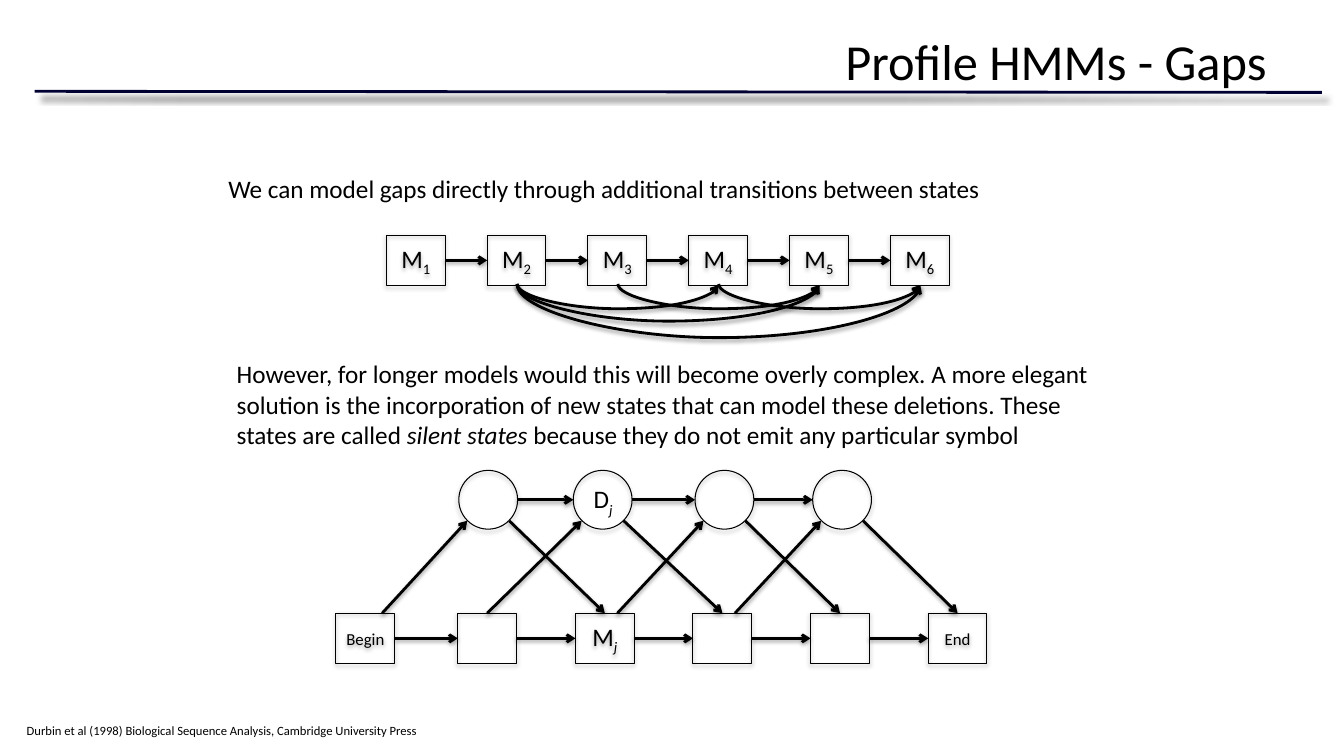
"""Build the slide on modelling gaps in profile HMMs."""
from itertools import pairwise

from lxml.etree import SubElement
from pptx import Presentation
from pptx.dml.color import RGBColor
from pptx.enum.shapes import MSO_CONNECTOR as LINK, MSO_SHAPE as SHAPE
from pptx.enum.text import MSO_ANCHOR as ANCHOR, PP_ALIGN as ALIGN
from pptx.oxml.ns import qn
from pptx.util import Emu, Pt

BLACK = "000000"
NAVY = "000033"
BOX_WIDTH, BOX_HEIGHT, CIRCLE = 56, 48, 56
SHAPE_SHADOW = (35, 3.1, 1.8, 90)
ARROW_SHADOW = (38, 3.1, 1.6, 90)
TITLE_SHADOW = (50, 4, 6, 45)
SUBSCRIPT = {"baseline": "-25000"}
ITALIC = {"i": "1"}


def px(*lengths):
    """Turn pixel lengths, 96 to the inch, into EMU."""
    return [Emu(length * 9525) for length in lengths]


def color(hex_code):
    """Turn a hex string into a colour."""
    return RGBColor.from_string(hex_code)


def set_values(target, values):
    """Set every attribute named in a dict of format values."""
    for name, value in values.items():
        setattr(target, name, value)


def add_shadow(shape, opacity, blur, distance, angle):
    """Give a shape or connector a soft black outer shadow."""
    effects = SubElement(shape._element.spPr, qn("a:effectLst"))
    outer = SubElement(effects, qn("a:outerShdw"), blurRad=str(Pt(blur)),
                       dist=str(Pt(distance)), dir=str(angle * 60000),
                       algn="ctr", rotWithShape="0")
    black = SubElement(outer, qn("a:srgbClr"), val=BLACK)
    SubElement(black, qn("a:alpha"), val=str(opacity * 1000))


def write_text(shape, runs, size, align=ALIGN.LEFT, **frame_values):
    """Write one paragraph of (text, run attributes) pairs."""
    frame = shape.text_frame
    set_values(frame, frame_values)
    paragraph = frame.paragraphs[0]
    paragraph.alignment = align
    for text, attributes in runs:
        run = paragraph.add_run()
        run.text = text
        set_values(run.font, {"name": "Calibri", "size": Pt(size)})
        run.font.color.rgb = color(BLACK)
        for name, value in attributes.items():
            run.font._element.set(name, value)


def add_text(slide, place, runs, size, align=ALIGN.LEFT, wrap=True):
    """Add a text box."""
    write_text(slide.shapes.add_textbox(*px(*place)), runs, size, align, word_wrap=wrap)


def add_state(slide, kind, left, top, height, runs=(), size=18):
    """Add an outlined state, labelled when it has runs."""
    shape = slide.shapes.add_shape(kind, *px(left, top, BOX_WIDTH, height))
    shape.fill.background()
    shape.line.color.rgb = color(BLACK)
    shape.line.width = Pt(0.75)
    add_shadow(shape, *SHAPE_SHADOW)
    if runs:
        write_text(shape, runs, size, ALIGN.CENTER, margin_left=0, margin_right=0,
                   vertical_anchor=ANCHOR.MIDDLE)


def add_line(slide, start, end, kind=LINK.STRAIGHT, line_color=BLACK,
             shadow=ARROW_SHADOW, arrow=True):
    """Add a shadowed line, with an arrowhead unless told otherwise."""
    connector = slide.shapes.add_connector(kind, *px(*start, *end))
    connector.line.color.rgb = color(line_color)
    connector.line.width = Pt(2)
    if arrow:
        SubElement(connector.line._get_or_add_ln(), qn("a:tailEnd"), type="arrow")
    add_shadow(connector, *shadow)
    return connector


def add_skip(slide, start, end, bottom, depth):
    """Add a curved arrow that hangs below a row of states."""
    middle, half = (start + end) // 2, (end - start) // 2
    connector = add_line(slide, (middle + 1, bottom - half), (middle, bottom + half),
                         LINK.CURVE)
    properties = connector._element.spPr
    properties.find(qn("a:xfrm")).set("rot", str(270 * 60000))
    geometry = properties.find(qn("a:prstGeom"))
    guides = geometry.find(qn("a:avLst"))
    if guides is None:
        guides = SubElement(geometry, qn("a:avLst"))
    SubElement(guides, qn("a:gd"), name="adj1", fmla=f"val {depth * 100000}")


def link_row(slide, lefts, middle):
    """Join neighbouring states of a row with arrows."""
    for left, following in pairwise(lefts):
        add_line(slide, (left + BOX_WIDTH, middle), (following, middle))


def add_skip_model(slide):
    """Draw the chain of match states with direct gap transitions."""
    top = 224
    lefts = [368 + 96 * index for index in range(6)]
    for number, left in enumerate(lefts, 1):
        add_state(slide, SHAPE.RECTANGLE, left, top, BOX_HEIGHT,
                  [("M", {}), (str(number), SUBSCRIPT)])
    link_row(slide, lefts, top + BOX_HEIGHT // 2)
    centers = [left + BOX_WIDTH // 2 for left in lefts]
    for source, target, depth in [(3, 5, 24), (2, 5, 36), (2, 6, 52), (2, 4, 24), (4, 6, 24)]:
        add_skip(slide, centers[source - 1], centers[target - 1], top + BOX_HEIGHT - 1, depth)


def add_silent_model(slide):
    """Draw the match states with a row of silent delete states above."""
    match_top, silent_top = 584, 448
    match_lefts = [320] + [436 + 112 * index for index in range(5)]
    silent_lefts = [437, 546, 662, 774]
    index_j = ("j", ITALIC | SUBSCRIPT)
    labels = {0: ([("Begin", {})], 12), 2: ([("M", {}), index_j], 18), 5: ([("End", {})], 12)}
    for index, left in enumerate(match_lefts):
        add_state(slide, SHAPE.RECTANGLE, left, match_top, BOX_HEIGHT, *labels.get(index, ()))
    for left in silent_lefts:
        add_state(slide, SHAPE.OVAL, left, silent_top, CIRCLE)
    add_text(slide, (556, 456, 38, 38), [("D", {}), index_j], 18, wrap=False)
    link_row(slide, match_lefts, match_top + BOX_HEIGHT // 2)
    link_row(slide, silent_lefts, silent_top + CIRCLE // 2)
    silent_edge = silent_top + CIRCLE - 8
    for index, (left, offset) in enumerate(zip(silent_lefts, (44, 28, 40, 40))):
        add_line(slide, (match_lefts[index] + offset, match_top), (left + 8, silent_edge))
        add_line(slide, (left + CIRCLE - 8, silent_edge),
                 (match_lefts[index + 2] + BOX_WIDTH // 2, match_top))


def main():
    """Build and save the presentation."""
    presentation = Presentation()
    width, height = px(1280, 720)
    set_values(presentation, {"slide_width": width, "slide_height": height})
    slide = presentation.slides.add_slide(presentation.slide_layouts[6])
    add_line(slide, (33, 87), (1259, 88), line_color=NAVY, shadow=TITLE_SHADOW, arrow=False)
    add_text(slide, (64, 24, 1152, 120), [("Profile HMMs - Gaps", {})], 36, ALIGN.RIGHT)
    add_text(slide, (208, 160, 747, 38),
             [("We can model gaps directly through additional transitions between states", {})],
             18, wrap=False)
    add_skip_model(slide)
    add_text(slide, (216, 337, 864, 97), [
        ("However, for longer models would this will become overly complex. A more elegant "
         "solution is the incorporation of new states that can model these deletions. These "
         "states are called ", {}),
        ("silent states ", ITALIC),
        ("because they do not emit any particular symbol", {})], 18)
    add_silent_model(slide)
    add_text(slide, (16, 684, 400, 24), [
        ("Durbin et al (1998) Biological Sequence Analysis, Cambridge University Press", {})], 9)
    presentation.save("out.pptx")


if __name__ == "__main__":
    main()
